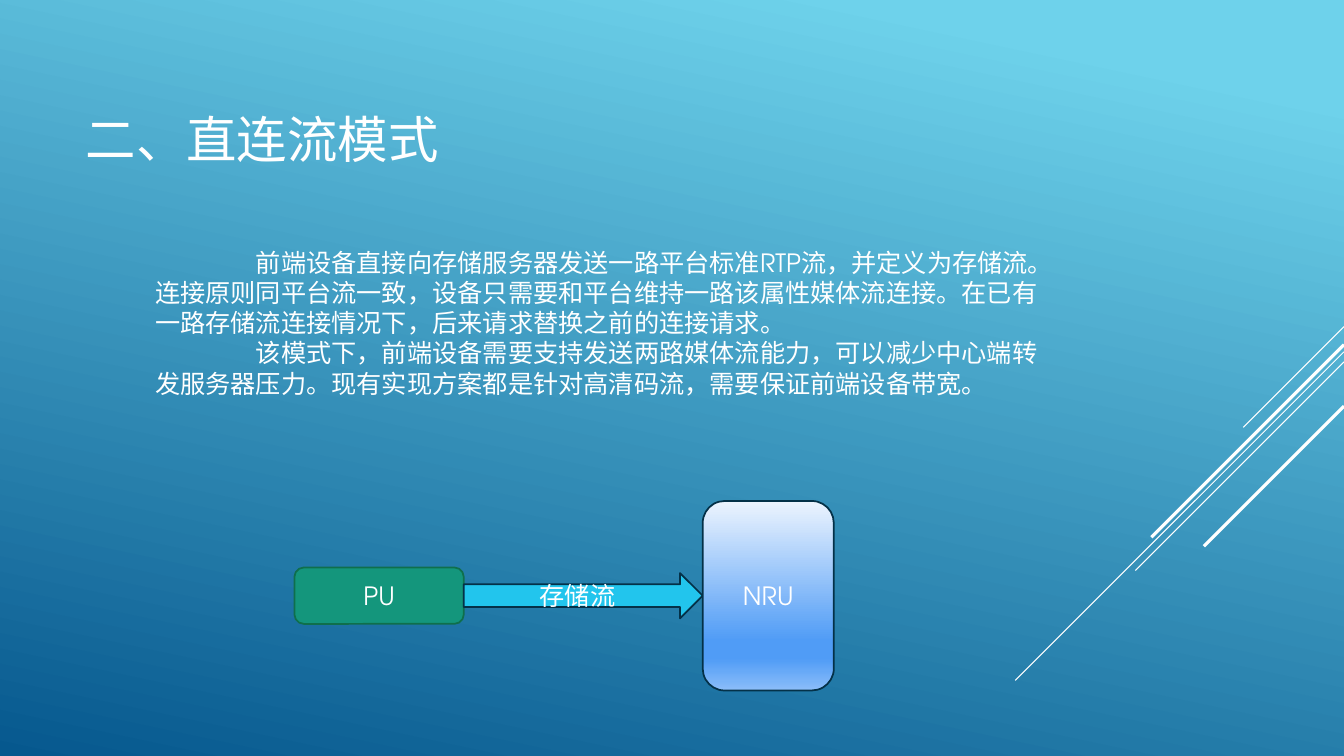
import copy

import pptx
import pptx.dml.color
import pptx.enum.shapes
import pptx.enum.text
import pptx.oxml
import pptx.oxml.ns
import pptx.util

Inches = pptx.util.Inches
Pt = pptx.util.Pt
RGBColor = pptx.dml.color.RGBColor
Shape = pptx.enum.shapes.MSO_SHAPE
Align = pptx.enum.text.PP_ALIGN
Anchor = pptx.enum.text.MSO_ANCHOR

# Content
TITLE = "二、直连流模式"
BODY = [
    "前端设备直接向存储服务器发送一路平台标准RTP流，并定义为存储流。连接原则同平台流一致，"
    "设备只需要和平台维持一路该属性媒体流连接。在已有一路存储流连接情况下，后来请求替换之前的连接请求。",
    "该模式下，前端设备需要支持发送两路媒体流能力，可以减少中心端转发服务器压力。"
    "现有实现方案都是针对高清码流，需要保证前端设备带宽。",
]

# Colours and font
FONT = "TeX Gyre Adventor"
WHITE = RGBColor(0xFF, 0xFF, 0xFF)
NAVY = RGBColor(0x04, 0x31, 0x48)
GREEN = RGBColor(0x14, 0x96, 0x7C)
DARK_GREEN = RGBColor(0x0F, 0x6F, 0x4C)
CYAN = RGBColor(0x22, 0xC5, 0xED)
BACKGROUND = [(0.10, RGBColor(0x6E, 0xD2, 0xEB)), (1, RGBColor(0x06, 0x58, 0x8E))]
SERVER_BLUE = [
    (0, RGBColor(0xEC, 0xF4, 0xFE)),
    (0.74, RGBColor(0x50, 0x9C, 0xF6)),
    (0.83, RGBColor(0x50, 0x9C, 0xF6)),
    (1, RGBColor(0x8B, 0xBD, 0xF9)),
]

# Flow from left to right: text, preset, width, height, fill, outline
FLOW_LEFT, FLOW_MIDDLE = 2.92, 5.91
FLOW = [
    ("PU", Shape.ROUNDED_RECTANGLE, 1.68, 0.56, GREEN, DARK_GREEN),
    ("存储流", Shape.RIGHT_ARROW, 2.37, 0.45, CYAN, NAVY),
    ("NRU", Shape.ROUNDED_RECTANGLE, 1.3, 1.88, SERVER_BLUE, NAVY),
]

# Diagonals from the right edge: top, run to the left and down, width in points
SLIDE_WIDTH, SLIDE_HEIGHT = 13.33, 7.5
DIAGONALS = [
    (3.24, 1.0, 0.75),
    (3.49, 3.26, 0.75),
    (3.59, 2.07, 0.75),
    (3.42, 1.91, 2.25),
    (4.03, 1.39, 2.25),
]


def write_text(shape, *texts, size=18, align=Align.LEFT, anchor=Anchor.MIDDLE, indent=0):
    frame = shape.text_frame
    frame.word_wrap = True
    frame.vertical_anchor = anchor
    frame.text = "\n".join(texts)
    for paragraph in frame.paragraphs:
        paragraph.alignment = align
        if indent:
            paragraph._p.get_or_add_pPr().set("indent", str(Inches(indent)))
        font = paragraph.runs[0].font
        font.name, font.size, font.color.rgb = FONT, Pt(size), WHITE


def set_gradient(fill, owner, stops, angle):
    """Fill with any number of stops; the angle runs clockwise."""
    fill.gradient()
    fill.gradient_angle = 360 - angle
    stop_list = next(owner.iter(pptx.oxml.ns.qn("a:gsLst")))
    while len(stop_list) < len(stops):
        stop_list.append(copy.deepcopy(stop_list[0]))
    for stop, (position, color) in zip(fill.gradient_stops, stops):
        stop.position = position
        stop.color.rgb = color


def add_diagonal(slide, top, run, width):
    line = slide.shapes.add_connector(
        pptx.enum.shapes.MSO_CONNECTOR.STRAIGHT,
        Inches(SLIDE_WIDTH), Inches(top), Inches(SLIDE_WIDTH - run), Inches(top + run))
    line.line.color.rgb = WHITE
    line.line.width = Pt(width)
    line.element.spPr.append(pptx.oxml.parse_xml(
        f"<a:effectLst {pptx.oxml.ns.nsdecls('a')}/>"))


def add_flow_shape(slide, left, text, preset, width, height, fill, outline):
    shape = slide.shapes.add_shape(
        preset, Inches(left), Inches(FLOW_MIDDLE - height / 2), Inches(width), Inches(height))
    shape.shadow.inherit = False
    if isinstance(fill, list):
        set_gradient(shape.fill, shape.element, fill, 90)
    else:
        shape.fill.solid()
        shape.fill.fore_color.rgb = fill
    shape.line.color.rgb = outline
    shape.line.width = Pt(1.25)
    write_text(shape, text, align=Align.CENTER)


def main():
    presentation = pptx.Presentation()
    presentation.slide_width = Inches(SLIDE_WIDTH)
    presentation.slide_height = Inches(SLIDE_HEIGHT)
    slide = presentation.slides.add_slide(presentation.slide_layouts.get_by_name("Title Only"))
    set_gradient(slide.background.fill, slide.element, BACKGROUND, 102)

    for diagonal in DIAGONALS:
        add_diagonal(slide, *diagonal)

    # Title and body text
    title = slide.shapes.title
    title.left, title.top = Inches(0.75), Inches(0.75)
    title.width, title.height = Inches(9.18), Inches(1.24)
    write_text(title, TITLE, size=36)
    body = slide.shapes.add_textbox(Inches(1.44), Inches(2.4), Inches(9.18), Inches(1.92))
    write_text(body, *BODY, anchor=Anchor.TOP, indent=1)

    # Flow shapes touch one another along one middle line
    left = FLOW_LEFT
    for text, preset, width, height, fill, outline in FLOW:
        add_flow_shape(slide, left, text, preset, width, height, fill, outline)
        left += width

    presentation.save("out.pptx")


if __name__ == "__main__":
    main()
